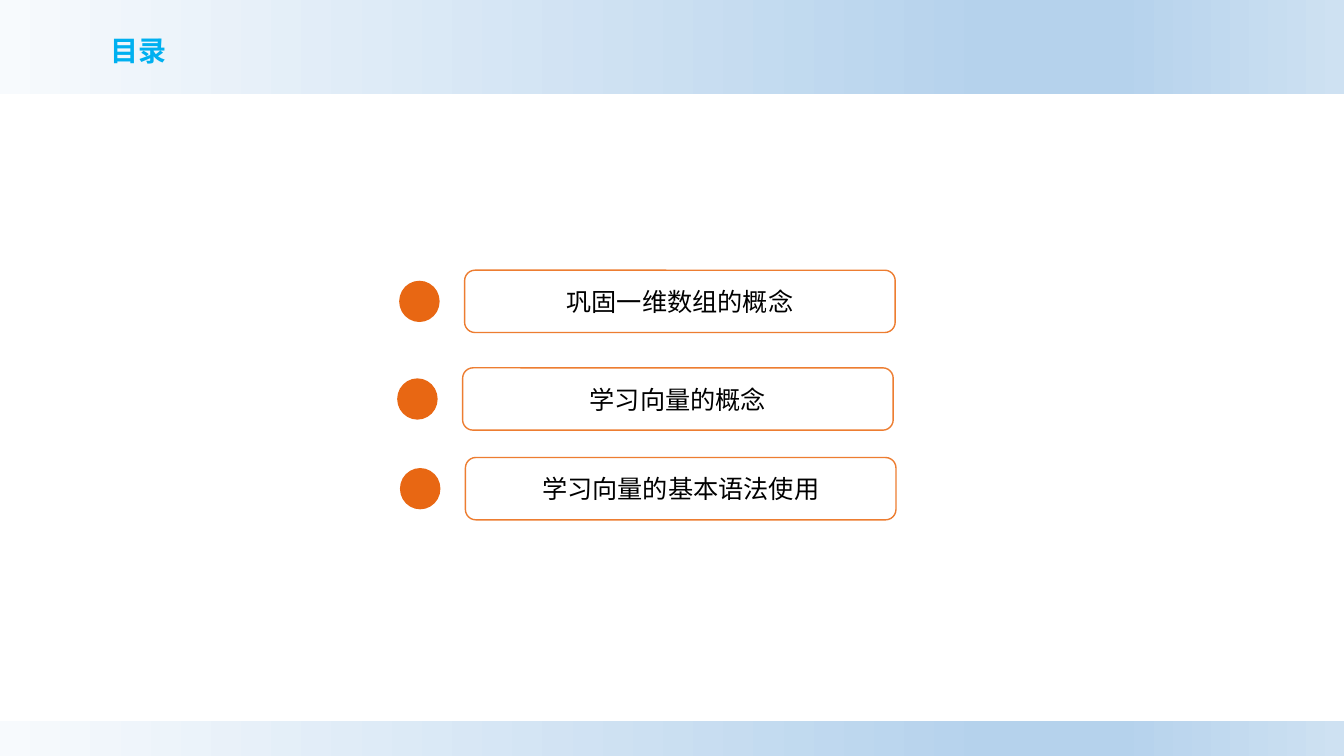
from lxml.etree import SubElement
from pptx import Presentation
from pptx.dml.color import RGBColor
from pptx.enum.shapes import MSO_SHAPE as Shape
from pptx.enum.text import MSO_ANCHOR as Anchor, MSO_AUTO_SIZE as AutoSize, PP_ALIGN as Align
from pptx.oxml.ns import qn
from pptx.util import Cm, Pt

WIDTH, HEIGHT = 33.87, 19.05
BAND_STOPS = [(0, "F7FAFD"), (74, "B5D2EC"), (83, "B5D2EC"), (100, "CEE1F2")]
BOX_WIDTH, BOX_HEIGHT = 10.85, 1.57
DOT_WIDTH, DOT_HEIGHT = 1.02, 1.04
DOT_OFFSET = 1.65
TOPICS = [
    ("巩固一维数组的概念", 11.71, 6.81),
    ("学习向量的概念", 11.66, 9.27),
    ("学习向量的基本语法使用", 11.73, 11.53),
]


def colour(value):
    return RGBColor.from_string(value)


class Agenda:
    heading_font = "Noto Sans CJK SC"
    topic_font = "Arial"
    heading_colour = "00B0F0"
    dot_colour = "E86713"
    border_colour = "ED7D31"

    def __init__(self, slide):
        self.slide = slide

    def shape(self, preset, left, top, width, height):
        added = self.slide.shapes.add_shape(preset, Cm(left), Cm(top), Cm(width), Cm(height))
        added.shadow.inherit = False
        added.line.fill.background()
        return added

    def label(self, frame, text, font_name, size, text_colour, align, bold=False):
        frame.text = text
        frame.word_wrap = True
        paragraph = frame.paragraphs[0]
        paragraph.alignment = align
        font = paragraph.runs[0].font
        font.size = Pt(size)
        font.bold = bold
        font.color.rgb = colour(text_colour)
        font.name = font_name
        east_asian = SubElement(font._element, qn("a:ea"))
        east_asian.set("typeface", self.heading_font)
        return paragraph

    def band(self, top, height):
        fill = self.shape(Shape.RECTANGLE, 0, top, WIDTH, height).fill
        fill.gradient()
        fill.gradient_angle = 0
        stops = fill._xPr.find(qn("a:gradFill")).find(qn("a:gsLst"))
        for old in list(stops):
            stops.remove(old)
        for position, value in BAND_STOPS:
            stop = SubElement(stops, qn("a:gs"), pos=str(position * 1000))
            SubElement(stop, qn("a:srgbClr"), val=value)

    def heading(self, text, left, top, width, height):
        title = self.slide.shapes.title
        title.left, title.top = Cm(left), Cm(top)
        title.width, title.height = Cm(width), Cm(height)
        frame = title.text_frame
        paragraph = self.label(frame, text, self.heading_font, 20, self.heading_colour, Align.LEFT, True)
        paragraph.line_spacing = 0.9
        paragraph.space_before = Pt(0)
        frame.vertical_anchor = Anchor.BOTTOM
        frame.auto_size = AutoSize.NONE
        self.slide.shapes._spTree.append(title._element)

    def topic(self, text, left, top):
        dot_top = top + (BOX_HEIGHT - DOT_HEIGHT) / 2
        dot = self.shape(Shape.FLOWCHART_CONNECTOR, left - DOT_OFFSET, dot_top, DOT_WIDTH, DOT_HEIGHT)
        dot.fill.solid()
        dot.fill.fore_color.rgb = colour(self.dot_colour)
        box = self.shape(Shape.ROUNDED_RECTANGLE, left, top, BOX_WIDTH, BOX_HEIGHT)
        box.fill.solid()
        box.fill.fore_color.rgb = colour("FFFFFF")
        box.line.color.rgb = colour(self.border_colour)
        box.line.width = Pt(1)
        self.label(box.text_frame, text, self.topic_font, 18, "000000", Align.CENTER)
        box.text_frame.vertical_anchor = Anchor.MIDDLE


def main():
    deck = Presentation()
    deck.slide_width, deck.slide_height = Cm(WIDTH), Cm(HEIGHT)
    agenda = Agenda(deck.slides.add_slide(deck.slide_layouts[5]))
    agenda.band(0, 2.36)
    agenda.band(18.16, 0.89)
    agenda.heading("目录", 2.54, 0.81, 13.56, 1.02)
    for text, left, top in TOPICS:
        agenda.topic(text, left, top)
    deck.save("out.pptx")


if __name__ == "__main__":
    main()
